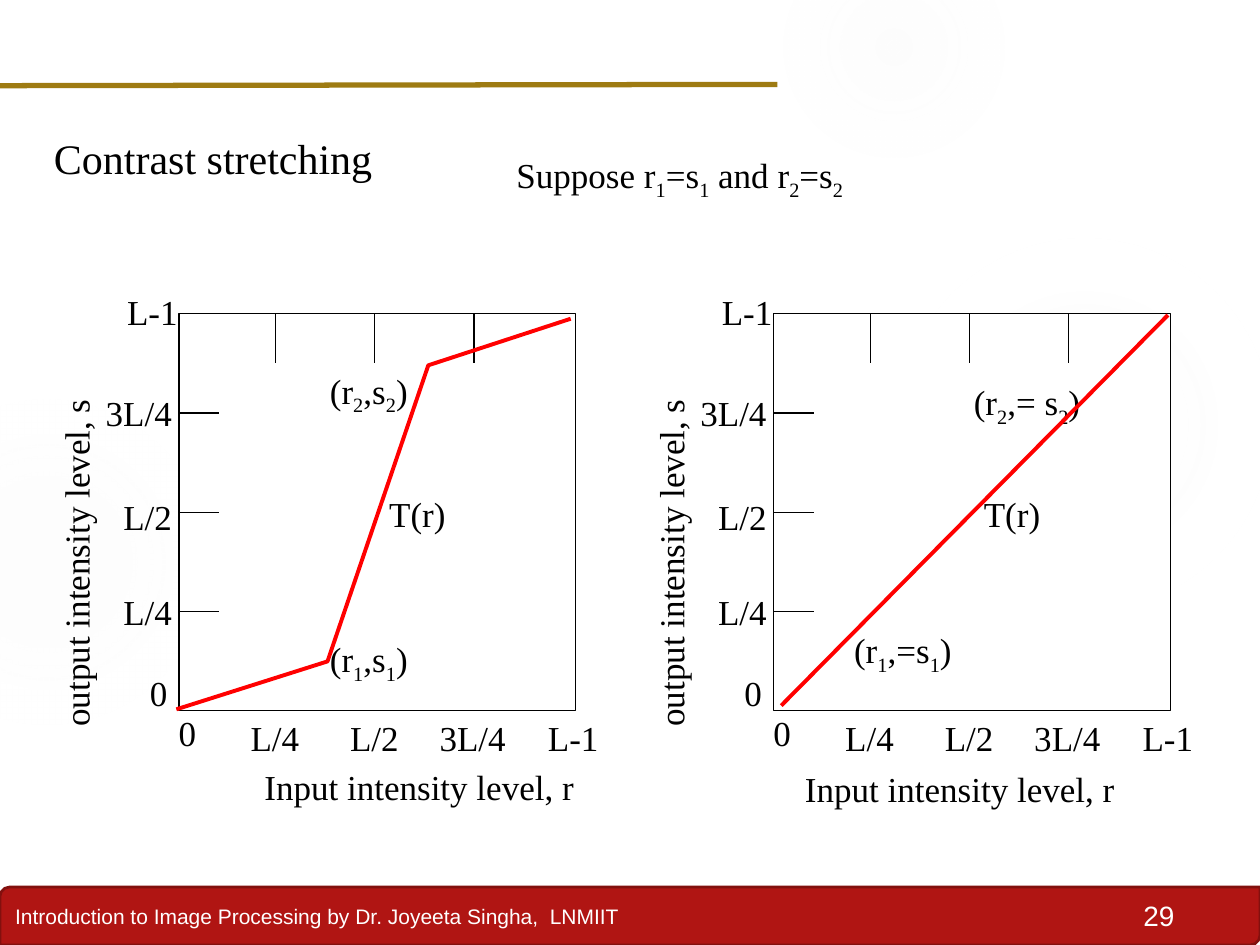
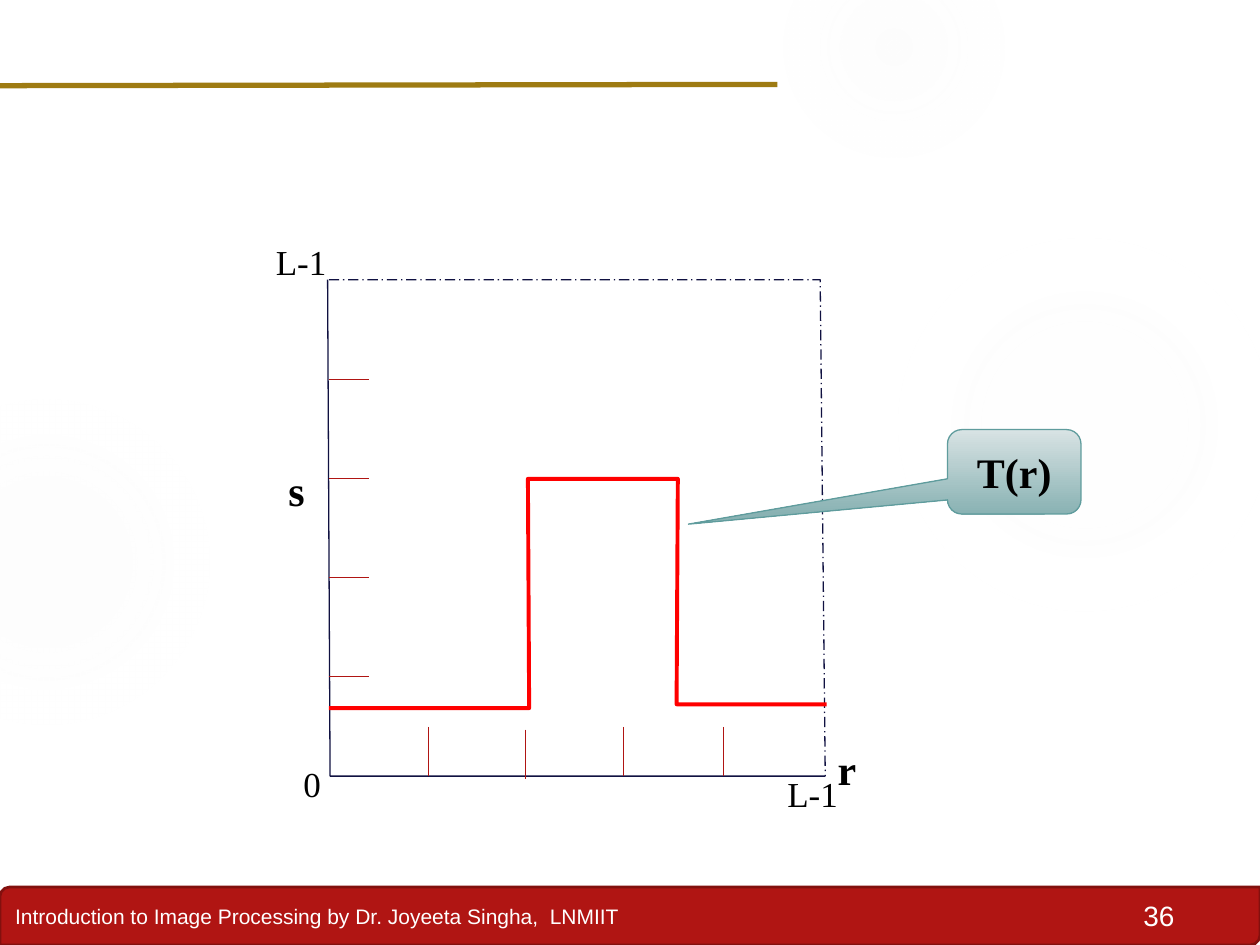
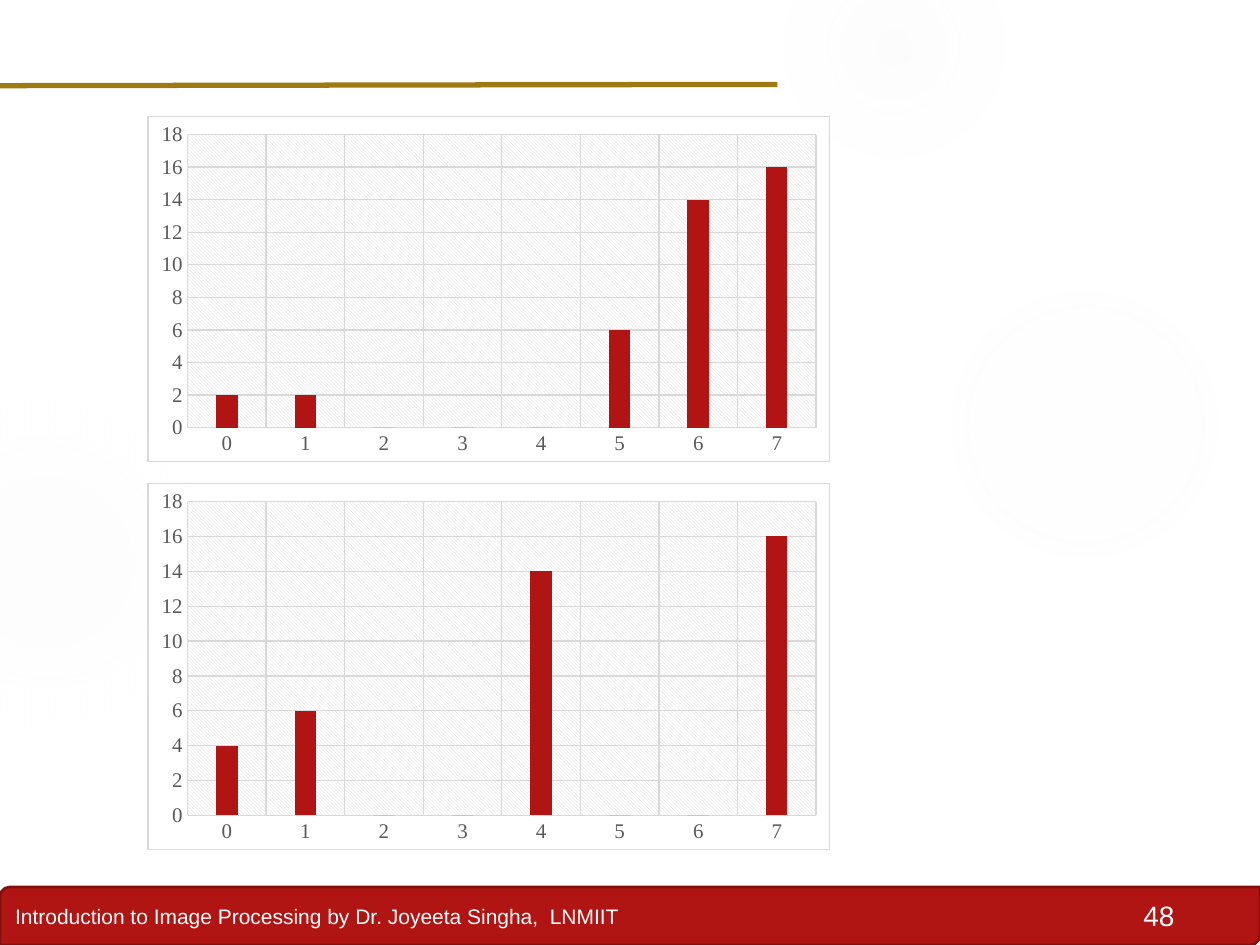
import pptx
import pptx.chart.data
import pptx.dml.color
import pptx.enum.chart
import pptx.enum.dml
import pptx.enum.shapes
import pptx.enum.text
import pptx.oxml
import pptx.oxml.ns
import pptx.util
from pptx.util import Inches

SHAPE = pptx.enum.shapes.MSO_SHAPE
ALIGN = pptx.enum.text.PP_ALIGN
ANCHOR = pptx.enum.text.MSO_ANCHOR

RED, DARK_RED, CURVE_RED = "B01513", "82100E", "FF0000"
GOLD, NAVY, TEAL = "9E7B12", "101141", "5F9C9D"
BLACK, WHITE, HALO = "000000", "FFFFFF", "F3F3F3"
GRID_GREY, AXIS_GREY = "D9D9D9", "595959"
SERIF, SANS = "Times New Roman", "Arial"
FOOTER = "Introduction to Image Processing by Dr. Joyeeta Singha,  LNMIIT"

# left, top, diameter, gradient stops (position %, colour, opacity %)
HALOS = [
    (7.07, 1.83, 3.08, [(0, HALO, 7), (36, HALO, 6), (69, HALO, 0)]),
    (6.22, -0.5, 1.75, [(0, HALO, 14), (36, HALO, 7), (73, HALO, 0)]),
    (-0.92, 3.17, 2.58, [(0, HALO, 8), (36, HALO, 8), (72, HALO, 0)]),
]

PLOT_TOP, PLOT_SIDE = 2.49, 3.15
# Label, offset from the plot's left side, top
AXIS_LABELS = [
    ("0", -0.33, 5.28), ("L/4", -0.54, 4.64), ("L/2", -0.54, 3.88),
    ("3L/4", -0.68, 3.06), ("L-1", -0.51, 2.26),
    ("0", -0.1, 5.6), ("L/4", 0.47, 5.64), ("L/2", 1.26, 5.64),
    ("3L/4", 1.97, 5.64), ("L-1", 2.83, 5.64),
]


def rgb(colour):
    return pptx.dml.color.RGBColor.from_string(colour)


def paint(part, fill=None, line=None, width=0.75):
    """Set a solid fill and outline on a shape or chart format; None means no paint."""
    if fill:
        part.fill.solid()
        part.fill.fore_color.rgb = rgb(fill)
    else:
        part.fill.background()
    if line:
        part.line.color.rgb = rgb(line)
        part.line.width = pptx.util.Pt(width)
    else:
        part.line.fill.background()


def gradient(shape, stops, direction):
    """Replace the solid fill by stops; direction is the a:lin or a:path element."""
    stops_xml = "".join(
        f'<a:gs pos="{position * 1000}"><a:srgbClr val="{colour}">'
        f'<a:alpha val="{opacity * 1000}"/></a:srgbClr></a:gs>'
        for position, colour, opacity in stops)
    fill = pptx.oxml.parse_xml(
        f'<a:gradFill {pptx.oxml.ns.nsdecls("a")} rotWithShape="1">'
        f"<a:gsLst>{stops_xml}</a:gsLst>{direction}</a:gradFill>")
    solid = shape._element.spPr.find(pptx.oxml.ns.qn("a:solidFill"))
    solid.getparent().replace(solid, fill)


def write(frame, text, size=20, font=SERIF, colour=BLACK, bold=False,
          align=ALIGN.LEFT, anchor=ANCHOR.TOP):
    """Write one paragraph; the character after each "_" is a subscript."""
    frame.word_wrap = True
    frame.vertical_anchor = anchor
    paragraph = frame.paragraphs[0]
    paragraph.alignment = align
    plain, *indexed = text.split("_")
    pieces = [(plain, False)]
    for piece in indexed:
        pieces += [(piece[0], True), (piece[1:], False)]
    for piece, lowered in pieces:
        if not piece:
            continue
        run = paragraph.add_run()
        run.text = piece
        run.font.size = pptx.util.Pt(size)
        run.font.name = font
        run.font.bold = bold
        run.font.color.rgb = rgb(colour)
        if lowered:
            run.font._element.set("baseline", "-25000")


def label(slide, text, left, top, width=0.75, height=0.44, rotation=0, **style):
    box = slide.shapes.add_textbox(*map(Inches, (left, top, width, height)))
    box.rotation = rotation
    box.text_frame.margin_right = 0
    write(box.text_frame, text, **style)


def block(slide, kind, left, top, width, height, fill=WHITE, line=None, weight=0.75):
    shape = slide.shapes.add_shape(kind, *map(Inches, (left, top, width, height)))
    shape.shadow.inherit = False
    paint(shape, fill, line, weight)
    return shape


def rule(slide, start, end, colour=BLACK, width=0.75):
    connector = slide.shapes.add_connector(
        pptx.enum.shapes.MSO_CONNECTOR.STRAIGHT, *map(Inches, (*start, *end)))
    connector.line.color.rgb = rgb(colour)
    connector.line.width = pptx.util.Pt(width)
    connector._element.spPr.append(
        pptx.oxml.parse_xml(f'<a:effectLst {pptx.oxml.ns.nsdecls("a")}/>'))
    return connector


def polyline(slide, points, colour, width, dash=None):
    start, *rest = [tuple(map(Inches, point)) for point in points]
    builder = slide.shapes.build_freeform(*start)
    builder.add_line_segments(rest, close=False)
    outline = builder.convert_to_shape()
    outline.shadow.inherit = False
    paint(outline, None, colour, width)
    if dash:
        outline.line.dash_style = dash


def lecture_slide(deck, number):
    """Add a slide with the lecture's footer, halos, page number and top rule."""
    slide = deck.slides.add_slide(deck.slide_layouts[6])
    footer = block(slide, SHAPE.ROUND_2_DIAG_RECTANGLE, 0, 7.04, 10, 0.46,
                   RED, DARK_RED, 1.5)
    write(footer.text_frame, FOOTER, size=12, font=SANS, colour=WHITE,
          anchor=ANCHOR.MIDDLE)
    for left, top, diameter, stops in HALOS:
        halo = block(slide, SHAPE.OVAL, left, top, diameter, diameter)
        gradient(halo, stops, '<a:path path="circle"><a:fillToRect l="50000" '
                 't="50000" r="50000" b="50000"/></a:path>')
    label(slide, str(number), 8.67, 7.08, 0.65, 0.37, size=16, font=SANS,
          colour=WHITE, align=ALIGN.RIGHT)
    rule(slide, (-0.02, 0.68), (6.17, 0.67), GOLD, 3)
    return slide


def intensity_plot(slide, left):
    """Draw the square plot with quarter ticks and axis labels."""
    frame = block(slide, SHAPE.RECTANGLE, left, PLOT_TOP, PLOT_SIDE, PLOT_SIDE,
                  WHITE, BLACK)
    for quarter in (1, 2, 3):
        step = PLOT_SIDE * quarter / 4
        x, y = left + step - 0.02, PLOT_TOP + step
        level_tick = rule(slide, (left, y), (left + 0.32, y))
        if quarter == 2:
            level_tick.begin_connect(frame, 1)
        rule(slide, (x, PLOT_TOP), (x, PLOT_TOP + 0.39))
    for text, offset, top in AXIS_LABELS:
        label(slide, text, left + offset, top)
    label(slide, "output intensity level, s", left - 2.41, 4.05, 3.19, rotation=270)
    label(slide, "T(r)", left + 1.57, 3.86)


def contrast_stretching(deck):
    slide = lecture_slide(deck, 29)
    label(slide, "Contrast stretching", 0.33, 1, 3.12, 0.5, size=24)
    label(slide, "Suppose r_1=s_1 and r_2=s_2", 4, 1.17, 3.27)

    intensity_plot(slide, 1.42)
    polyline(slide, [(1.4, 5.63), (2.6, 5.25), (3.4, 2.9), (4.53, 2.53)],
             CURVE_RED, 2.25)
    label(slide, "(r_1,s_1)", 2.52, 5.01, 0.9)
    label(slide, "(r_2,s_2)", 2.52, 2.88, 0.9)
    label(slide, "Input intensity level, r", 2, 6.03, 2.99)

    intensity_plot(slide, 6.14)
    label(slide, "(r_1,=s_1)", 6.68, 4.94, 1.07)
    label(slide, "(r_2,= s_2)", 7.63, 2.97, 1.15)
    rule(slide, (6.2, 5.6), (9.27, 2.5), CURVE_RED, 2.25)
    label(slide, "Input intensity level, r", 6.29, 6.04, 2.99)


def intensity_slicing(deck):
    slide = lecture_slide(deck, 36)
    polyline(slide, [(2.6, 2.22), (2.62, 6.16), (6.55, 6.16)], NAVY, 0.75)
    polyline(slide, [(2.61, 2.22), (6.51, 2.22), (6.55, 6.16)], NAVY, 0.75,
             pptx.enum.dml.MSO_LINE.LONG_DASH_DOT)
    for step in range(4):
        y = 3.01 + 0.787 * step
        rule(slide, (2.61, y), (2.93, y), RED)
    for x, top in ((3.4, 5.77), (4.17, 5.79), (4.95, 5.77), (5.74, 5.77)):
        rule(slide, (x, top), (x, top + 0.39), RED)
    label(slide, "0", 2.31, 6)
    label(slide, "L-1", 2.09, 1.86)
    label(slide, "L-1", 6.15, 6.08)
    polyline(slide, [(2.61, 5.62), (4.2, 5.62), (4.19, 3.8), (5.38, 3.8),
                     (5.37, 5.59), (6.56, 5.59)], CURVE_RED, 2.25)

    callout = block(slide, SHAPE.ROUNDED_RECTANGULAR_CALLOUT, 7.52, 3.41, 1.06, 0.67,
                    WHITE, TEAL)
    for index, value in enumerate((-2.44, 0.62, 0.17)):
        callout.adjustments[index] = value
    gradient(callout, [(0, "D8E3E4", 100), (100, "89B2B3", 100)],
             '<a:lin ang="5400000" scaled="0"/>')
    write(callout.text_frame, "T(r)", size=24, bold=True, align=ALIGN.CENTER,
          anchor=ANCHOR.MIDDLE)
    label(slide, "r", 6.55, 5.85, height=0.5, size=24, bold=True)
    label(slide, "s", 2.19, 3.64, height=0.5, size=24, bold=True)


def style_axis(axis):
    axis.major_tick_mark = axis.minor_tick_mark = pptx.enum.chart.XL_TICK_MARK.NONE
    axis.tick_labels.font.size = pptx.util.Pt(12)
    axis.tick_labels.font.name = SERIF
    axis.tick_labels.font.color.rgb = rgb(AXIS_GREY)
    axis.has_major_gridlines = True
    for line in (axis.major_gridlines.format.line, axis.format.line):
        line.color.rgb = rgb(GRID_GREY)
        line.width = pptx.util.Pt(0.75)


def fill_backgrounds(chart):
    """Give the chart a white bordered area and its plot a hatched one."""
    names = pptx.oxml.ns.nsdecls("c", "a")
    white, grey = (f'<a:srgbClr val="{colour}"/>' for colour in (WHITE, GRID_GREY))
    area = chart._chartSpace.find(pptx.oxml.ns.qn("c:chart"))
    area.addnext(pptx.oxml.parse_xml(
        f"<c:spPr {names}><a:solidFill>{white}</a:solidFill>"
        f'<a:ln w="9525"><a:solidFill>{grey}</a:solidFill></a:ln></c:spPr>'))
    area.find(pptx.oxml.ns.qn("c:plotArea")).append(pptx.oxml.parse_xml(
        f'<c:spPr {names}><a:pattFill prst="ltDnDiag"><a:fgClr>{grey}</a:fgClr>'
        f"<a:bgClr>{white}</a:bgClr></a:pattFill></c:spPr>"))


def histogram(slide, top, height, counts):
    data = pptx.chart.data.CategoryChartData()
    data.categories = [str(level) for level in range(len(counts))]
    data.add_series("Series 1", counts)
    chart = slide.shapes.add_chart(
        pptx.enum.chart.XL_CHART_TYPE.COLUMN_CLUSTERED,
        *map(Inches, (1.17, top, 5.42, height)), data).chart
    chart.has_title = chart.has_legend = False
    chart.font.size = pptx.util.Pt(10)
    chart.font.name = SERIF
    chart.font.color.rgb = rgb(BLACK)
    bars = chart.plots[0]
    bars.vary_by_categories = False
    bars.gap_width, bars.overlap = 267, -43
    paint(bars.series[0].format, RED)
    style_axis(chart.category_axis)
    style_axis(chart.value_axis)
    chart.value_axis.format.line.fill.background()
    fill_backgrounds(chart)


def histograms(deck):
    slide = lecture_slide(deck, 48)
    histogram(slide, 0.92, 2.75, [2, 2, 0, 0, 0, 6, 14, 16])
    histogram(slide, 3.83, 2.92, [4, 6, 0, 0, 14, 0, 0, 16])


def main():
    deck = pptx.Presentation()
    deck.slide_width, deck.slide_height = Inches(10), Inches(7.5)
    contrast_stretching(deck)
    intensity_slicing(deck)
    histograms(deck)
    deck.save("out.pptx")


if __name__ == "__main__":
    main()
